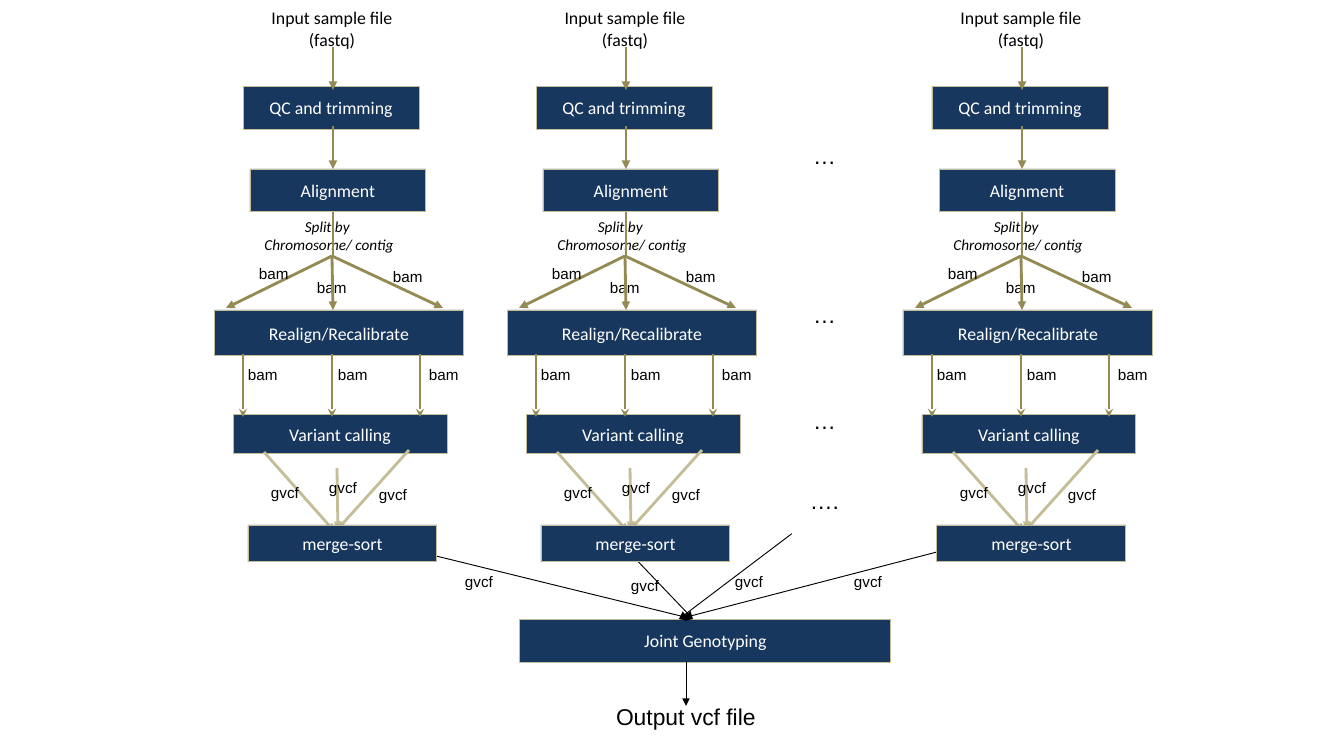
"""Draw a variant calling workflow: three sample lanes merged by joint genotyping."""
from lxml import etree
from pptx import Presentation
from pptx import util as u
from pptx.dml.color import RGBColor
from pptx.enum import shapes, text
from pptx.oxml.ns import qn

NAVY = RGBColor(0x17, 0x37, 0x5E)
SAND = RGBColor(0xC4, 0xBD, 0x97)
OLIVE = RGBColor(0x94, 0x8A, 0x54)
BLACK = RGBColor(0, 0, 0)
WHITE = RGBColor(255, 255, 255)


class Flowchart:
    """Holds the slide, the scale and the lane shift, and draws each kind of element."""

    def __init__(self, slide, scale):
        """Keep the slide and the scale; start without a shift."""
        self.slide, self.scale, self.shift = slide, scale, 0

    def place(self, left, top, width, height):
        """Turn a pixel box into EMU, shifted to the current lane."""
        return [u.Emu(v * self.scale) for v in (left + self.shift, top, width, height)]

    def set_words(self, shape, words, size, font, color, align, anchor, italic=False):
        """Fill a shape with styled text."""
        frame = shape.text_frame
        frame.text = words
        frame.word_wrap = True
        frame.vertical_anchor = anchor
        for paragraph in frame.paragraphs:
            paragraph.alignment = align
            for run in paragraph.runs:
                run.font.size, run.font.name = u.Pt(size), font
                run.font.color.rgb, run.font.italic = color, italic
        return frame

    def step(self, words, *box):
        """Draw a process box."""
        shape = self.slide.shapes.add_shape(shapes.MSO_SHAPE.RECTANGLE, *self.place(*box))
        shape.shadow.inherit = False
        shape.fill.solid()
        shape.fill.fore_color.rgb = NAVY
        shape.line.color.rgb = SAND
        shape.line.width = u.Pt(0.74)
        self.set_words(shape, words, 14, "Calibri", WHITE, text.PP_ALIGN.CENTER,
                       text.MSO_ANCHOR.MIDDLE)

    def caption(self, words, *box, size=14, font="Calibri", italic=False):
        """Set centred text."""
        area = self.slide.shapes.add_textbox(*self.place(*box))
        self.set_words(area, words, size, font, BLACK, text.PP_ALIGN.CENTER,
                       text.MSO_ANCHOR.MIDDLE, italic)
        return area

    def label(self, words, left, top, width=48, height=27, size=12):
        """Set a file type or result, aligned left."""
        area = self.slide.shapes.add_textbox(*self.place(left, top, width, height))
        frame = self.set_words(area, words, size, "Arial", BLACK, text.PP_ALIGN.LEFT,
                               text.MSO_ANCHOR.TOP)
        frame.margin_right = 0

    def arrow(self, *ends, color=OLIVE, width=2.24, head="triangle"):
        """Draw a line between two points, with an arrowhead unless head is None."""
        start_x, start_y, end_x, end_y = ends
        points = self.place(start_x, start_y, end_x + self.shift, end_y)
        flow = self.slide.shapes.add_connector(shapes.MSO_CONNECTOR.STRAIGHT, *points)
        flow.line.color.rgb = color
        flow.line.width = u.Pt(width)
        if head:
            etree.SubElement(flow.get_or_add_ln(), qn("a:tailEnd"), type=head)
        etree.SubElement(flow.element.spPr, qn("a:effectLst"))

    def ellipses(self, *box):
        """Stand for the lanes left out, with dots beside the steps."""
        dots = self.caption("…\n…\n…\n….", *box, size=18, font="Arial")
        dots.fill.solid()
        dots.fill.fore_color.rgb = WHITE
        dots.text_frame.word_wrap = False
        for paragraph, gap in zip(dots.text_frame.paragraphs[1:], (103.5, 62, 41.5)):
            paragraph.space_before = u.Pt(gap)

    def lane(self, shift):
        """Draw the whole workflow of one sample."""
        self.shift = shift
        self.caption("Input sample file (fastq)", 254, 11, 156, 35)
        self.step("QC and trimming", 243, 86, 176, 43)
        self.arrow(333, 126, 333, 169)
        for target in (443, 226):
            self.arrow(332, 256, target, 308)
        self.caption("Split by \nChromosome/ contig", 177, 209, 304, 53, size=12, italic=True)
        self.step("Realign/Recalibrate", 214, 310, 250, 46)
        self.step("Variant calling", 233, 415, 214, 39)
        for ends in ((264, 452, 335, 532), (337, 468, 338, 530), (409, 450, 337, 530)):
            self.arrow(*ends, color=SAND)
        self.step("Alignment", 250, 169, 176, 43)
        self.step("merge-sort", 248, 525, 189, 37)
        self.label("bam", 250, 260)
        self.label("bam", 384, 263, height=43)
        self.label("bam", 308, 274)
        for left, top in ((262, 479), (320, 474), (370, 481)):
            self.label("gvcf", left, top, 46)
        self.arrow(333, 47, 333, 90)
        self.arrow(333, 212, 333, 256, head=None)
        self.arrow(332, 256, 333, 310)
        for contig in (420, 243, 332):
            self.arrow(contig, 354, contig, 417, head="stealth")
        for left in (239, 329, 420):
            self.label("bam", left, 361)

    def merge(self):
        """Draw joint genotyping, its inputs and its output."""
        self.step("Joint Genotyping", 520, 619, 371, 43)
        for source_x, source_y, target in ((326, 529, 693), (607, 529, 693),
                                           (1010, 533, 679), (802, 526, 679)):
            self.arrow(source_x, source_y, target, 619, color=BLACK, width=0.75)
        self.ellipses(792, 119, 65, 418)
        self.arrow(686, 662, 686, 706, color=BLACK, width=0.75)
        self.label("Output vcf file", 607, 698, 158, 35, size=18)
        for left, top in ((456, 568), (622, 572), (726, 568), (845, 568)):
            self.label("gvcf", left, top, 46)


SCALE = 10004
deck = Presentation()
deck.slide_width, deck.slide_height = u.Emu(1344 * SCALE), u.Emu(756 * SCALE)
workflow = Flowchart(deck.slides.add_slide(deck.slide_layouts[6]), SCALE)
workflow.merge()
for lane_shift in (0, 293, 689):
    workflow.lane(lane_shift)
deck.save("out.pptx")
